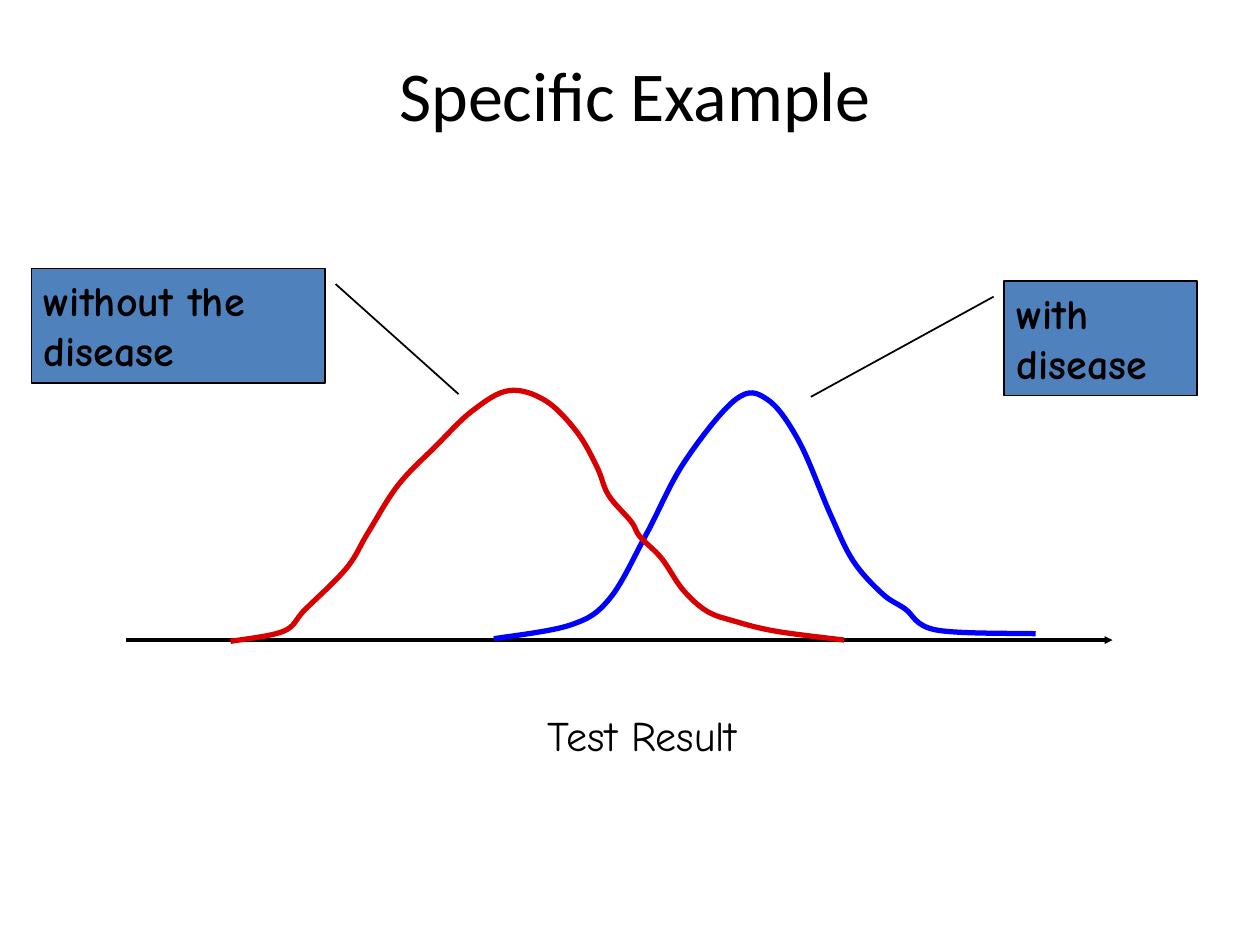
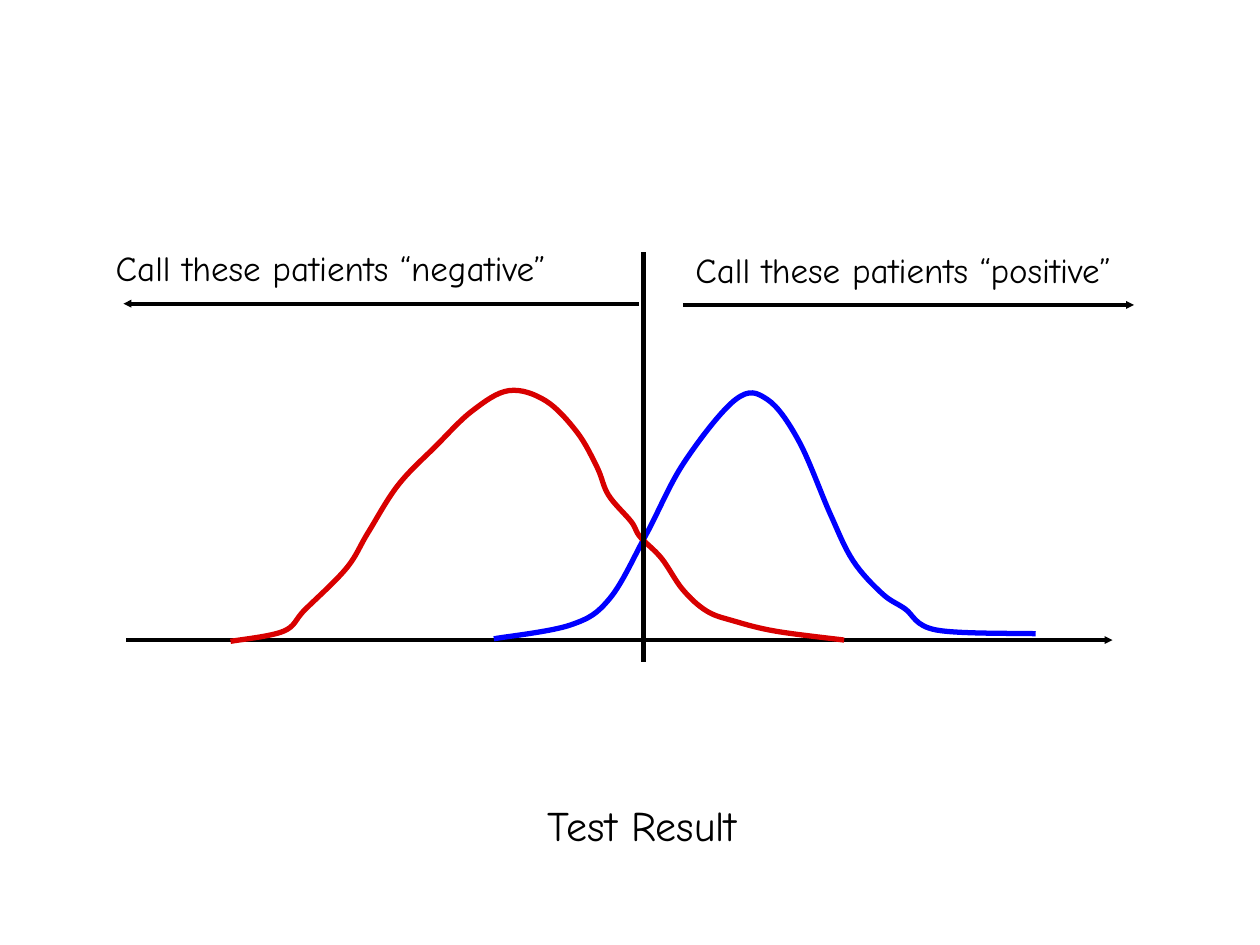
from typing import NamedTuple, Optional

from lxml import etree
from pptx import Presentation
from pptx import util as u
from pptx.dml.color import RGBColor
from pptx.enum import shapes as sh
from pptx.enum import text as tx
from pptx.oxml import ns

BLACK = RGBColor(0x00, 0x00, 0x00)
WHITE = RGBColor(0xFF, 0xFF, 0xFF)
BLUE = RGBColor(0x00, 0x00, 0xFF)
RED = RGBColor(0xD8, 0x00, 0x00)
STEEL = RGBColor(0x4F, 0x81, 0xBD)
HEAD = "Calibri"
BODY = "Comic Neue"


class Box(NamedTuple):
    left: float
    top: float
    width: float
    height: float

    def lengths(self) -> list:
        return [u.Inches(v) for v in self]


class Label(NamedTuple):
    words: str
    box: Box
    size: int = 24
    font: str = BODY
    bold: bool = False
    center: bool = False


class Line(NamedTuple):
    start: tuple
    end: tuple
    width: float = 2.25
    arrow: bool = True


class Curve(NamedTuple):
    color: RGBColor
    knots: list


class Callout(NamedTuple):
    label: Label
    leader: tuple


class Call(NamedTuple):
    line: Line
    label: Label


AXIS = Line((1, 5.08), (8.83, 5.08))
CUTOFF = Line((5.11, 2), (5.11, 5.25), 3, False)
TITLE = Label("Specific Example", Box(0.58, 0.33, 8.92, 0.83), 40, HEAD, center=True)

CURVES = [
    Curve(BLUE, [
        (3.92, 5.07), (4.53, 4.96), (4.84, 4.75), (5.13, 4.24), (5.43, 3.67),
        (5.84, 3.17), (6.09, 3.17), (6.34, 3.5), (6.59, 4.08), (6.77, 4.45),
        (7, 4.71), (7.18, 4.83), (7.43, 5), (8.22, 5.03),
    ]),
    Curve(RED, [
        (1.83, 5.09), (2.25, 5.01), (2.42, 4.84), (2.75, 4.51), (2.92, 4.23),
        (3.16, 3.85), (3.46, 3.54), (3.75, 3.26), (4.04, 3.1), (4.33, 3.18),
        (4.58, 3.43), (4.74, 3.71), (4.83, 3.93), (5.01, 4.14), (5.08, 4.26),
        (5.25, 4.43), (5.42, 4.68), (5.61, 4.85), (5.83, 4.93), (6.16, 5.01),
        (6.7, 5.08),
    ]),
]

CALLOUTS = [
    Callout(Label("with disease", Box(7.97, 2.23, 1.53, 0.91), bold=True),
            (0.137, -0.055, 1.011, -1.003)),
    Callout(Label("without the disease", Box(0.25, 2.13, 2.33, 0.91), bold=True),
            (0.137, 1.036, 1.097, 1.455)),
]

CALLS = [
    Call(Line((5.07, 2.41), (0.98, 2.41)),
         Label("Call these patients “negative”", Box(0.82, 1.91, 4.33, 0.43), 20)),
    Call(Line((5.42, 2.42), (9, 2.42)),
         Label("Call these patients “positive”", Box(5.42, 1.92, 4.33, 0.43), 20)),
]


def write(frame, label: Label) -> None:
    frame.word_wrap = True
    frame.vertical_anchor = tx.MSO_ANCHOR.MIDDLE if label.center else tx.MSO_ANCHOR.TOP
    para = frame.paragraphs[0]
    para.alignment = tx.PP_ALIGN.CENTER if label.center else tx.PP_ALIGN.LEFT
    run = para.add_run()
    run.text = label.words
    run.font.name = label.font
    run.font.size = u.Pt(label.size)
    run.font.bold = label.bold
    run.font.color.rgb = BLACK


def add_label(shapes, label: Label) -> None:
    frame = shapes.add_textbox(*label.box.lengths()).text_frame
    if label.center:
        frame.margin_top = frame.margin_bottom = 0
    write(frame, label)


def add_line(shapes, line: Line) -> None:
    ends = [u.Inches(v) for v in (*line.start, *line.end)]
    link = shapes.add_connector(sh.MSO_CONNECTOR.STRAIGHT, *ends)
    link.line.color.rgb = BLACK
    link.line.width = u.Pt(line.width)
    props = link.element.spPr
    if line.arrow:
        stroke = props.find(ns.qn("a:ln"))
        etree.SubElement(stroke, ns.qn("a:tailEnd"), type="triangle", w="sm", len="sm")
    etree.SubElement(props, ns.qn("a:effectLst"))


def bend(shape) -> None:
    dots = list(shape.element.iter(ns.qn("a:pt")))
    spots = [(int(dot.get("x")), int(dot.get("y"))) for dot in dots]
    ring = [spots[0], *spots, spots[-1]]
    for dot, *span in zip(dots[1:], ring, ring[1:], ring[2:], ring[3:]):
        step = dot.getparent()
        arc = etree.Element(ns.qn("a:cubicBezTo"))
        pairs = list(zip(*span))
        first = [b + (c - a) / 6 for a, b, c, d in pairs]
        last = [c - (d - b) / 6 for a, b, c, d in pairs]
        for x, y in (first, last, span[2]):
            etree.SubElement(arc, ns.qn("a:pt"), x=str(round(x)), y=str(round(y)))
        step.getparent().replace(step, arc)


def add_curve(shapes, curve: Curve) -> None:
    spots = [(u.Inches(x), u.Inches(y)) for x, y in curve.knots]
    pen = shapes.build_freeform(*spots[0])
    pen.add_line_segments(spots[1:], close=False)
    shape = pen.convert_to_shape()
    bend(shape)
    shape.shadow.inherit = False
    shape.fill.background()
    shape.line.color.rgb = curve.color
    shape.line.width = u.Pt(3)


def add_callout(shapes, item: Callout) -> None:
    shape = shapes.add_shape(sh.MSO_SHAPE.LINE_CALLOUT_1, *item.label.box.lengths())
    for index, value in enumerate(item.leader):
        shape.adjustments[index] = value
    shape.shadow.inherit = False
    shape.fill.solid()
    shape.fill.fore_color.rgb = STEEL
    shape.line.color.rgb = BLACK
    shape.line.width = u.Pt(1)
    write(shape.text_frame, item.label)


def add_call(shapes, call: Call) -> None:
    group = shapes.add_group_shape().shapes
    add_line(group, call.line)
    add_label(group, call.label)


def add_plot(deck, top: float, title: Optional[Label] = None):
    slide = deck.slides.add_slide(deck.slide_layouts[6])
    slide.background.fill.solid()
    slide.background.fill.fore_color.rgb = WHITE
    if title:
        add_label(slide.shapes, title)
    add_line(slide.shapes, AXIS)
    add_label(slide.shapes, Label("Test Result", Box(4.25, top, 2.75, 0.5)))
    for curve in CURVES:
        add_curve(slide.shapes, curve)
    return slide.shapes


def main() -> None:
    deck = Presentation()
    deck.slide_width, deck.slide_height = u.Inches(10), u.Inches(7.5)

    shapes = add_plot(deck, 5.58, TITLE)
    for item in CALLOUTS:
        add_callout(shapes, item)

    shapes = add_plot(deck, 6.3)
    add_line(shapes, CUTOFF)
    for call in CALLS:
        add_call(shapes, call)

    deck.save("out.pptx")


if __name__ == "__main__":
    main()
